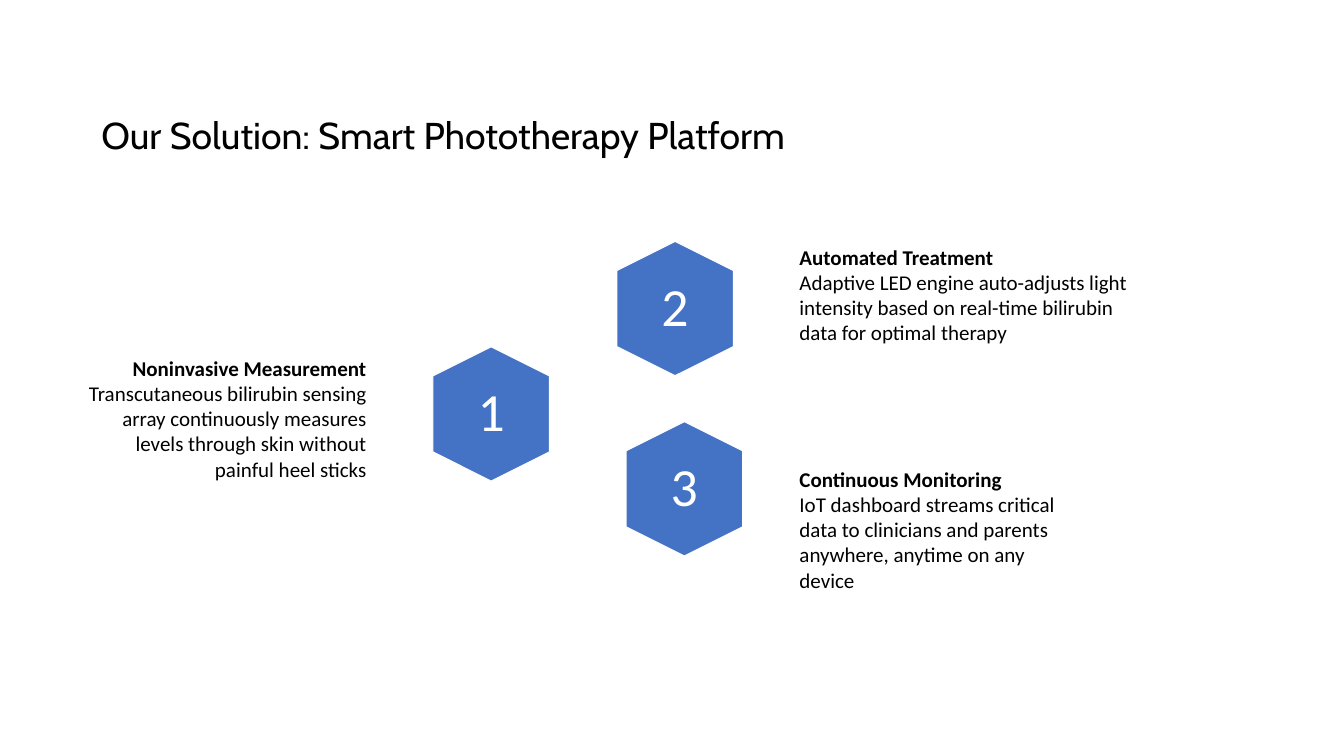
from pptx import Presentation
from pptx.dml.color import RGBColor
from pptx.enum.shapes import MSO_SHAPE as Shape
from pptx.enum.text import MSO_ANCHOR as Anchor, PP_ALIGN as Align
from pptx.util import Pt

BLACK = RGBColor(0x00, 0x00, 0x00)
WHITE = RGBColor(0xFF, 0xFF, 0xFF)
BLUE = RGBColor(0x44, 0x72, 0xC4)

HEXAGON_LENGTH, HEXAGON_BREADTH = 115.2, 100
NUMBER_WIDTH, NUMBER_HEIGHT, NUMBER_INSET = 69, 79, 13.7

TITLE = "Our Solution: Smart Phototherapy Platform"
FEATURES = [
    ((66.2, 301, 255, 117), Align.RIGHT, "Noninvasive Measurement",
     "Transcutaneous bilirubin sensing array continuously measures "
     "levels through skin without painful heel sticks"),
    ((678.2, 205.7, 304.6, 117), Align.LEFT, "Automated Treatment",
     "Adaptive LED engine auto-adjusts light intensity based on "
     "real-time bilirubin data for optimal therapy"),
    ((678.2, 396.2, 255, 117), Align.LEFT, "Continuous Monitoring",
     "IoT dashboard streams critical data to clinicians and parents "
     "anywhere, anytime on any device"),
]
HEXAGONS = [
    ((578.6, 264.5), "2"),
    ((421, 354.8), "1"),
    ((586.6, 419), "3"),
]


def add_text(slide, box, lines, size, font_name, color, align):
    """Add a wrapping text box with one evenly formatted paragraph per line."""
    shape = slide.shapes.add_textbox(*(Pt(length) for length in box))
    frame = shape.text_frame
    frame.word_wrap = True
    frame.text = "\n".join(lines)
    for paragraph in frame.paragraphs:
        paragraph.alignment = align
        for run in paragraph.runs:
            run.font.name = font_name
            run.font.size = Pt(size)
            run.font.color.rgb = color
    return frame


def add_feature(slide, box, align, heading, description):
    """Add a bold heading above its description."""
    frame = add_text(slide, box, [heading, description], 18, "Calibri", BLACK, align)
    frame.paragraphs[0].runs[0].font.bold = True


def add_number(slide, box, number):
    """Add a large white number in the middle of the box."""
    frame = add_text(slide, box, [number], 46, "Calibri", WHITE, Align.CENTER)
    frame.vertical_anchor = Anchor.MIDDLE
    frame.margin_left = frame.margin_right = Pt(NUMBER_INSET)
    frame.margin_top = frame.margin_bottom = Pt(NUMBER_INSET)
    frame.paragraphs[0].line_spacing = 0.9


def add_hexagon(slide, center, number):
    """Add an upright numbered hexagon around the center."""
    x, y = center
    shape = slide.shapes.add_shape(
        Shape.HEXAGON, Pt(x - HEXAGON_LENGTH / 2), Pt(y - HEXAGON_BREADTH / 2),
        Pt(HEXAGON_LENGTH), Pt(HEXAGON_BREADTH))
    shape.rotation = 90
    shape.adjustments[0] = 0.25
    shape.shadow.inherit = False
    shape.fill.solid()
    shape.fill.fore_color.rgb = BLUE
    shape.line.color.rgb = WHITE
    shape.line.width = Pt(1)
    add_number(slide, (x - NUMBER_WIDTH / 2, y - NUMBER_HEIGHT / 2,
                       NUMBER_WIDTH, NUMBER_HEIGHT), number)


def main():
    """Build the slide and save it."""
    presentation = Presentation()
    presentation.slide_width = Pt(1152)
    presentation.slide_height = Pt(648)
    slide = presentation.slides.add_slide(presentation.slide_layouts[6])
    add_text(slide, (79.8, 93, 630, 85), [TITLE], 32, "Cabin", BLACK, Align.LEFT)
    for feature in FEATURES:
        add_feature(slide, *feature)
    for hexagon in HEXAGONS:
        add_hexagon(slide, *hexagon)
    presentation.save("out.pptx")


if __name__ == "__main__":
    main()
